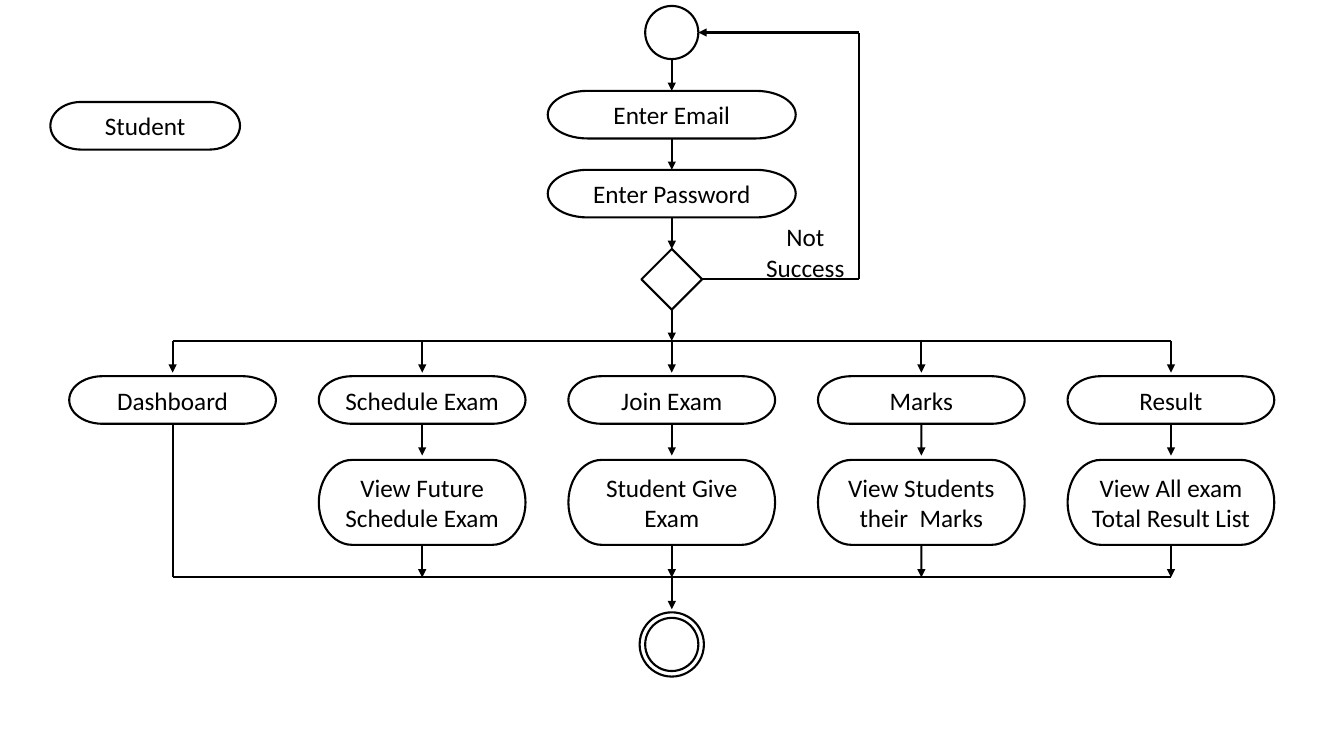
from lxml import etree
from pptx import Presentation, util as u
from pptx.dml.color import RGBColor
from pptx.enum import shapes, text
from pptx.oxml.ns import qn

INK = "000000"
FONT = "Calibri"
ROLE = "Student"
LOGIN_STEPS = ["Enter Email", "Enter Password"]
FAILURE = "Not Success"
BRANCHES = [
    ("Dashboard", None),
    ("Schedule Exam", "View Future Schedule Exam"),
    ("Join Exam", "Student Give Exam"),
    ("Marks", "View Students their  Marks"),
    ("Result", "View All exam Total Result List"),
]

MID, PITCH = 16.93, 6.29
STEP_W, BRANCH_W, ROLE_W = 6.25, 5.21, 4.78
STEP_H, DETAIL_H = 1.2, 2.14
CIRCLE, RING, DIAMOND = 1.34, 1.62, 1.53
START_Y, END_Y, CHECK_Y = 0.82, 16.24, 7.04
LOGIN_TOP, LOGIN_PITCH = 2.29, 1.99
SPLIT_Y, BRANCH_TOP, DETAIL_TOP, JOIN_Y = 8.59, 9.48, 11.59, 14.55
RETURN_X, ARROW = 21.64, 0.8

PILL = shapes.MSO_SHAPE.FLOWCHART_TERMINATOR
OVAL = shapes.MSO_SHAPE.OVAL

prs = Presentation()
prs.slide_width, prs.slide_height = u.Cm(33.87), u.Cm(19.05)
s = prs.slides.add_slide(prs.slide_layouts[6])


def color(value):
    return RGBColor.from_string(value)


def write(sp, words):
    tf = sp.text_frame
    tf.word_wrap = True
    p = tf.paragraphs[0]
    p.alignment = text.PP_ALIGN.CENTER
    r = p.add_run()
    r.text = words
    r.font.name, r.font.size = FONT, u.Pt(18)
    r.font.color.rgb = color(INK)


def node(kind, cx, top, w, h, words=None):
    sp = s.shapes.add_shape(kind, u.Cm(cx - w / 2), u.Cm(top), u.Cm(w), u.Cm(h))
    sp.shadow.inherit = False
    sp.fill.background()
    sp.line.color.rgb = color(INK)
    sp.line.width = u.Pt(1.5)
    if words:
        sp.text_frame.vertical_anchor = text.MSO_ANCHOR.MIDDLE
        write(sp, words)
    return sp


def link(x1, y1, x2, y2, arrow=True, begin=None, end=None):
    c = s.shapes.add_connector(shapes.MSO_CONNECTOR.STRAIGHT,
                               u.Cm(x1), u.Cm(y1), u.Cm(x2), u.Cm(y2))
    c.line.color.rgb = color(INK)
    c.line.width = u.Pt(1.5)
    if arrow:
        etree.SubElement(c.line._get_or_add_ln(), qn("a:tailEnd"), type="triangle")
    etree.SubElement(c._element.spPr, qn("a:effectLst"))
    if begin:
        c.begin_connect(*begin)
    if end:
        c.end_connect(*end)


node(PILL, 3.66, 2.57, ROLE_W, STEP_H, ROLE)

node(OVAL, MID, START_Y - CIRCLE / 2, CIRCLE, CIRCLE)
previous, bottom = None, START_Y + CIRCLE / 2
for i, words in enumerate(LOGIN_STEPS):
    top = LOGIN_TOP + i * LOGIN_PITCH
    step = node(PILL, MID, top, STEP_W, STEP_H, words)
    link(MID, bottom, MID, top, begin=previous, end=(step, 0))
    previous, bottom = (step, 2), top + STEP_H

check_top = CHECK_Y - DIAMOND / 2
check = node(shapes.MSO_SHAPE.DIAMOND, MID, check_top, DIAMOND, DIAMOND)
link(MID, bottom, MID, check_top, begin=previous, end=(check, 0))
link(MID, check_top + DIAMOND, MID, SPLIT_Y, begin=(check, 2))

link(MID + DIAMOND / 2, CHECK_Y, RETURN_X, CHECK_Y, False, begin=(check, 3))
link(RETURN_X, CHECK_Y, RETURN_X, START_Y, False)
link(RETURN_X, START_Y, MID + CIRCLE / 2, START_Y)
label = s.shapes.add_textbox(u.Cm(18.95), u.Cm(5.46), u.Cm(2.69), u.Cm(1.8))
write(label, FAILURE)

centers = [MID + (i - len(BRANCHES) // 2) * PITCH for i in range(len(BRANCHES))]
for y in (SPLIT_Y, JOIN_Y):
    link(centers[0], y, centers[-1], y, False)

for x, (name, detail) in zip(centers, BRANCHES):
    link(x, SPLIT_Y, x, SPLIT_Y + ARROW)
    branch = node(PILL, x, BRANCH_TOP, BRANCH_W, STEP_H, name)
    bottom = BRANCH_TOP + STEP_H
    if detail:
        link(x, bottom, x, bottom + ARROW, begin=(branch, 2))
        result = node(PILL, x, DETAIL_TOP, BRANCH_W, DETAIL_H, detail)
        link(x, DETAIL_TOP + DETAIL_H, x, JOIN_Y, begin=(result, 2))
    else:
        link(x, bottom, x, JOIN_Y, False, begin=(branch, 2))

link(MID, JOIN_Y, MID, JOIN_Y + ARROW)
for size in (CIRCLE, RING):
    node(OVAL, MID, END_Y - size / 2, size, size)

prs.save("out.pptx")
